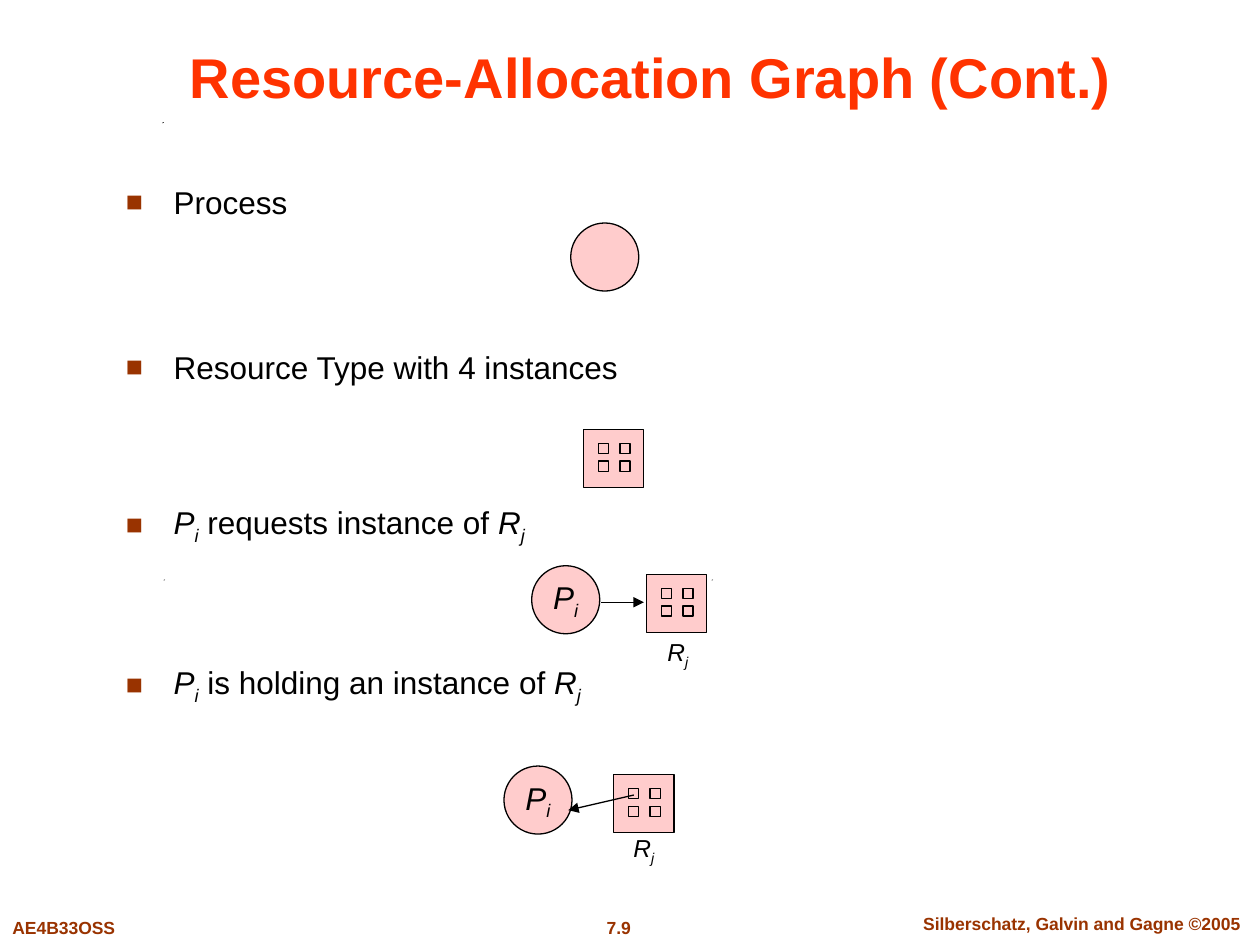
from dataclasses import dataclass
from typing import NamedTuple

from lxml import etree
from pptx import Presentation
from pptx.dml.color import RGBColor
from pptx.enum.shapes import MSO_CONNECTOR, MSO_SHAPE
from pptx.enum.text import MSO_ANCHOR, MSO_AUTO_SIZE, PP_ALIGN
from pptx.oxml.ns import qn
from pptx.util import Emu, Pt

PX = 9144  # 100 px to the inch
TITLE_ONLY = 5
OVAL, RECTANGLE = MSO_SHAPE.OVAL, MSO_SHAPE.RECTANGLE
STRAIGHT = MSO_CONNECTOR.STRAIGHT
LEFT, CENTER = PP_ALIGN.LEFT, PP_ALIGN.CENTER
TOP, MIDDLE, BOTTOM = MSO_ANCHOR.TOP, MSO_ANCHOR.MIDDLE, MSO_ANCHOR.BOTTOM
GROW = MSO_AUTO_SIZE.SHAPE_TO_FIT_TEXT


@dataclass(frozen=True)
class Theme:
    font: str = "Arial"
    title: str = "FF3300"
    accent: str = "993300"
    ink: str = "000000"
    node: str = "FFCCCC"
    title_size: int = 32
    body_size: int = 18
    label_size: int = 14
    footer_size: int = 10
    line_width: float = 0.75


THEME = Theme()


class Box(NamedTuple):
    left: int
    top: int
    width: int
    height: int

    def emu(self) -> list[Emu]:
        return [Emu(value * PX) for value in self]


class Span(NamedTuple):
    text: str
    italic: bool = False
    subscript: bool = False


class Bullet(NamedTuple):
    spans: list[Span]
    space_before: int


class Footer(NamedTuple):
    text: str
    box: Box
    align: PP_ALIGN
    wrap: bool


class Edge(NamedTuple):
    """A process and a resource joined by an arrow."""
    process: tuple[int, int]
    resource: tuple[int, int]
    label: Box
    start: tuple[int, int]
    end: tuple[int, int]


def symbol(letter: str, index: str) -> list[Span]:
    return [Span(letter, True), Span(index, True, True)]


NODE_SIZE = 54
RESOURCE_WIDTH, RESOURCE_HEIGHT = 48, 46
INSTANCE_SIZE = 8
INSTANCE_OFFSETS = [(x, y) for y in (11, 25) for x in (12, 29)]
SPECKS = [(176, 542), (130, 460), (565, 460), (129, 97)]

TITLE = "Resource-Allocation Graph (Cont.)"
TITLE_BOX = Box(75, 25, 883, 67)
BODY_BOX = Box(90, 140, 860, 490)
BULLET_INDENT = 38

BULLETS = [
    Bullet([Span("Process")], 0),
    Bullet([Span("Resource Type with 4 instances")], 73),
    Bullet([*symbol("P", "i"), Span(" requests instance of "), *symbol("R", "j")], 67),
    Bullet([*symbol("P", "i"), Span(" is holding an instance of "), *symbol("R", "j")], 67),
]
FOOTERS = [
    Footer("7.9", Box(442, 723, 98, 27), CENTER, False),
    Footer("Silberschatz, Galvin and Gagne ©2005", Box(710, 720, 297, 27), CENTER, True),
    Footer("AE4B33OSS", Box(0, 723, 110, 27), LEFT, False),
]
EDGES = [
    Edge((422, 449), (513, 456), Box(513, 500, 50, 37), (477, 478), (511, 478)),
    Edge((400, 608), (487, 615), Box(486, 656, 50, 37), (503, 631), (451, 643)),
]


def set_all(target, values: dict) -> None:
    for name, value in values.items():
        setattr(target, name, value)


def write(para, spans: list[Span], size: int, color: str, bold: bool = False) -> None:
    for item in spans:
        span = para.add_run()
        span.text = item.text
        set_all(span.font, {"name": THEME.font, "size": Pt(size),
                            "bold": bold, "italic": item.italic})
        span.font.color.rgb = RGBColor.from_string(color)
        if item.subscript:
            span._r.get_or_add_rPr().set("baseline", "-25000")


def add_text(page, box: Box, spans: list[Span], size: int, color: str, bold: bool = False,
             align=CENTER, anchor=MIDDLE, wrap: bool = False) -> None:
    frame = page.shapes.add_textbox(*box.emu()).text_frame
    set_all(frame, {"word_wrap": wrap, "vertical_anchor": anchor, "auto_size": GROW})
    frame.paragraphs[0].alignment = align
    write(frame.paragraphs[0], spans, size, color, bold)


def add_title(page) -> None:
    title = page.shapes.title
    set_all(title, dict(zip(("left", "top", "width", "height"), TITLE_BOX.emu())))
    title.text_frame.vertical_anchor = BOTTOM
    para = title.text_frame.paragraphs[0]
    para.alignment = CENTER
    write(para, [Span(TITLE)], THEME.title_size, THEME.title, True)


def add_bullet_mark(para) -> None:
    properties = para._p.get_or_add_pPr()
    indent = BULLET_INDENT * PX
    properties.set("marL", str(indent))
    properties.set("indent", str(-indent))
    color = etree.SubElement(properties, qn("a:buClr"))
    etree.SubElement(color, qn("a:srgbClr"), val=THEME.accent)
    etree.SubElement(properties, qn("a:buSzPct"), val="90000")
    etree.SubElement(properties, qn("a:buFont"), typeface=THEME.font)
    etree.SubElement(properties, qn("a:buChar"), char="■")


def add_body(page) -> None:
    frame = page.shapes.add_textbox(*BODY_BOX.emu()).text_frame
    set_all(frame, {"word_wrap": True, "vertical_anchor": TOP})
    for number, bullet in enumerate(BULLETS):
        para = frame.add_paragraph() if number else frame.paragraphs[0]
        set_all(para, {"alignment": LEFT, "space_before": Pt(bullet.space_before)})
        add_bullet_mark(para)
        write(para, bullet.spans, THEME.body_size, THEME.ink)


def add_node(shapes, kind, box: Box):
    node = shapes.add_shape(kind, *box.emu())
    node.shadow.inherit = False
    node.fill.solid()
    node.fill.fore_color.rgb = RGBColor.from_string(THEME.node)
    node.line.color.rgb = RGBColor.from_string(THEME.ink)
    node.line.width = Pt(THEME.line_width)
    return node


def add_process(page, left: int, top: int, spans: list[Span]) -> None:
    node = add_node(page.shapes, OVAL, Box(left, top, NODE_SIZE, NODE_SIZE))
    if spans:
        frame = node.text_frame
        set_all(frame, {"word_wrap": False, "vertical_anchor": MIDDLE})
        frame.paragraphs[0].alignment = CENTER
        write(frame.paragraphs[0], spans, THEME.body_size, THEME.ink)


def add_resource(page, left: int, top: int) -> None:
    group = page.shapes.add_group_shape()
    add_node(group.shapes, RECTANGLE, Box(left, top, RESOURCE_WIDTH, RESOURCE_HEIGHT))
    for x, y in INSTANCE_OFFSETS:
        add_node(group.shapes, RECTANGLE, Box(left + x, top + y, INSTANCE_SIZE, INSTANCE_SIZE))


def add_arrow(page, start: tuple[int, int], end: tuple[int, int]) -> None:
    arrow = page.shapes.add_connector(STRAIGHT, *[Emu(value * PX) for value in start + end])
    arrow.line.color.rgb = RGBColor.from_string(THEME.ink)
    arrow.line.width = Pt(THEME.line_width)
    etree.SubElement(arrow.line._get_or_add_ln(), qn("a:tailEnd"), type="triangle")
    etree.SubElement(arrow._element.spPr, qn("a:effectLst"))


def add_speck(page, left: int, top: int) -> None:
    outline = page.shapes.build_freeform(left, top + 1, scale=PX)
    outline.add_line_segments([(left + 1, top), (left, top)], close=True)
    speck = outline.convert_to_shape()
    speck.shadow.inherit = False
    speck.fill.solid()
    speck.fill.fore_color.rgb = RGBColor.from_string(THEME.ink)
    speck.line.fill.background()


def main() -> None:
    deck = Presentation()
    set_all(deck, {"slide_width": Emu(1000 * PX), "slide_height": Emu(750 * PX)})
    page = deck.slides.add_slide(deck.slide_layouts[TITLE_ONLY])
    for left, top in SPECKS:
        add_speck(page, left, top)
    for footer in FOOTERS:
        add_text(page, footer.box, [Span(footer.text)], THEME.footer_size, THEME.accent,
                 True, footer.align, TOP, footer.wrap)
    add_title(page)
    add_body(page)
    add_process(page, 453, 177, [])
    add_resource(page, 463, 341)
    for edge in EDGES:
        add_process(page, *edge.process, symbol("P", "i"))
        add_resource(page, *edge.resource)
        add_arrow(page, edge.start, edge.end)
        add_text(page, edge.label, symbol("R", "j"), THEME.label_size, THEME.ink)
    deck.save("out.pptx")


if __name__ == "__main__":
    main()
